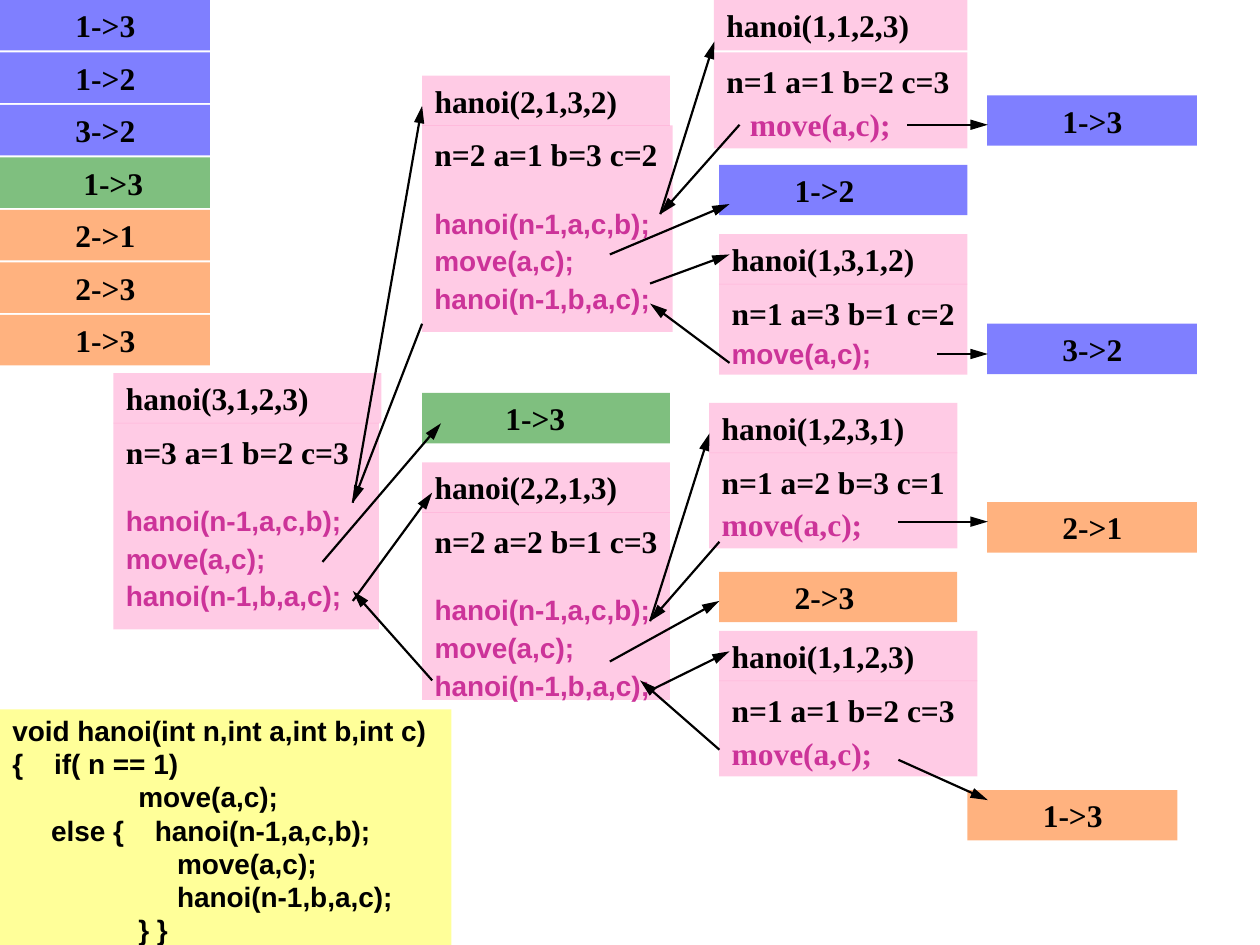
from lxml import etree
from pptx import Presentation
from pptx.dml.color import RGBColor
from pptx.enum.shapes import MSO_CONNECTOR, MSO_SHAPE
from pptx.enum.text import MSO_ANCHOR, PP_ALIGN
from pptx.oxml.ns import qn
from pptx.util import Pt

RECT = MSO_SHAPE.RECTANGLE
LINE = MSO_CONNECTOR.STRAIGHT
TOP = MSO_ANCHOR.TOP
LEFT = PP_ALIGN.LEFT

HUES = {"pink": "FF99CC", "blue": "0000FF", "green": "008000",
        "orange": "FF6600", "yellow": "FFFF99", "ink": "000000", "call": "CC3399"}
SERIF, SANS = "Times New Roman", "Arial"
ROW = 28.8
BODY = 28.4
GAP = 0.8


class Board:
    """Draws the call tree of a recursive function on one slide."""

    def __init__(self, slide):
        self.slide = slide

    def box(self, x, y, w, h, hue, alpha=50):
        shape = self.slide.shapes.add_shape(RECT, Pt(x), Pt(y), Pt(w), Pt(h))
        shape.shadow.inherit = False
        shape.fill.solid()
        shape.fill.fore_color.rgb = RGBColor.from_string(HUES[hue])
        shape.line.fill.background()
        if alpha < 100:
            tint = next(shape._element.spPr.iter(qn("a:srgbClr")))
            etree.SubElement(tint, qn("a:alpha"), val=str(alpha * 1000))
        frame = shape.text_frame
        frame.word_wrap = True
        frame.vertical_anchor = TOP
        frame.margin_left, frame.margin_right = Pt(7.2), 0
        frame.margin_top = frame.margin_bottom = Pt(3.6)
        return frame

    def text(self, frame, words, face=SERIF, size=18, hue="ink",
             pitch=1.0, gap=0, dent=0, tab=0):
        first = not frame.paragraphs[0].runs
        para = frame.paragraphs[0] if first else frame.add_paragraph()
        para.alignment = LEFT
        para.line_spacing = pitch
        para.space_before = Pt(0 if first else gap)
        props = para._p.get_or_add_pPr()
        props.set("marL", str(Pt(dent)))
        if tab:
            tabs = etree.SubElement(props, qn("a:tabLst"))
            etree.SubElement(tabs, qn("a:tab"), pos=str(Pt(tab)), algn="l")
        run = para.add_run()
        run.text = words
        font = run.font
        font.name, font.size, font.bold = face, Pt(size), True
        font.color.rgb = RGBColor.from_string(HUES[hue])

    def step(self, x, y, w, hue, words):
        dent = 40.5 if hue == "green" else 36
        self.text(self.box(x, y, w, ROW, hue), words, dent=dent)

    def head(self, x, y, w, args, wide, high, state, drop=BODY):
        self.text(self.box(x, y, w, ROW, "pink"), f"hanoi({args})")
        frame = self.box(x, y + drop, wide, high, "pink")
        self.text(frame, state, pitch=1.1)
        return frame

    def node(self, x, y, w, args, wide, high, state):
        frame = self.head(x, y, w, args, wide, high, state)
        calls = ("hanoi(n-1,a,c,b);", 26.5), ("move(a,c);", 10.9), ("hanoi(n-1,b,a,c);", 10.9)
        for words, gap in calls:
            self.text(frame, words, SANS, 16, "call", 0.55, gap)

    def leaf(self, x, y, w, args, high, state, face=SERIF, size=18, dent=0, drop=BODY):
        frame = self.head(x, y, w, args, w, high, state, drop)
        self.text(frame, "move(a,c);", face, size, "call", 1.1, GAP, dent)

    def code(self, x, y, w, h, lines):
        frame = self.box(x, y, w, h, "yellow", 100)
        for words in lines:
            self.text(frame, words, SANS, 16, pitch=0.95, gap=GAP, tab=72)

    def arrow(self, x, y, tox, toy):
        link = self.slide.shapes.add_connector(LINE, Pt(x), Pt(y), Pt(tox), Pt(toy))
        link.line.width = Pt(1.25)
        link.line.color.rgb = RGBColor.from_string(HUES["ink"])
        etree.SubElement(link.line._get_or_add_ln(), qn("a:tailEnd"),
                         type="triangle", w="med", len="lg")
        etree.SubElement(link._element.spPr, qn("a:effectLst"))


NODES = [
    (64.8, 213.2, 153.2, "3,1,2,3", 151.8, 118, "n=3 a=1 b=2 c=3"),
    (241.2, 43.2, 141.6, "2,1,3,2", 143.2, 118, "n=2 a=1 b=3 c=2"),
    (241.2, 264.2, 141.6, "2,2,1,3", 141.6, 107.4, "n=2 a=2 b=1 c=3"),
]
LEAVES = [
    (408, 0, 144.8, "1,1,2,3", 54.8, "n=1 a=1 b=2 c=3", SERIF, 18, 13.5, 30),
    (411, 133.8, 141.8, "1,3,1,2", 52, "n=1 a=3 b=1 c=2", SANS, 16),
    (405.3, 230.2, 141.8, "1,2,3,1", 54.8, "n=1 a=2 b=3 c=1"),
    (411, 360.5, 147.5, "1,1,2,3", 54.8, "n=1 a=1 b=2 c=3"),
]
STEPS = [
    (564, 54.5, 120, "blue", "1->3"),
    (411, 94.2, 141.8, "blue", "1->2"),
    (564, 185, 120, "blue", "3->2"),
    (241.2, 224.6, 141.6, "green", "1->3"),
    (564, 287, 120, "orange", "2->1"),
    (411, 326.8, 136, "orange", "2->3"),
    (552.8, 451.5, 120, "orange", "1->3"),
]
ARROWS = [
    (201.6, 287.3, 241.2, 60.5), (241.2, 185, 201.6, 287.3),
    (184.3, 321.1, 252, 241.9), (201.6, 343.4, 247, 281.5),
    (247, 388.8, 201.6, 337.7), (377.3, 122.4, 408.2, 23.8),
    (422.6, 71.3, 377.3, 122.4), (348.5, 145.4, 416.9, 116.6),
    (371.5, 162, 416.9, 145.4), (416.9, 207.4, 371.5, 173.5),
    (371.5, 355, 405.4, 247.7), (411.1, 309.6, 371.5, 355),
    (348.5, 378, 411.1, 343.4), (371.5, 394.6, 416.9, 372.2),
    (411.1, 428.4, 365.8, 388.8), (518.4, 71.3, 564.5, 71.3),
    (535.7, 202.3, 564.5, 202.3), (513.4, 298.1, 564.5, 298.1),
    (513.4, 434.2, 564.5, 457.2),
]
CODE = [
    "void hanoi(int n,int a,int b,int c)",
    "{    if( n == 1)",
    "     \tmove(a,c);",
    "     else {    hanoi(n-1,a,c,b);",
    "       \t     move(a,c);",
    "       \t     hanoi(n-1,b,a,c);",
    "     \t} }",
]


def main():
    deck = Presentation()
    deck.slide_width, deck.slide_height = Pt(720), Pt(540)
    board = Board(deck.slides.add_slide(deck.slide_layouts[6]))
    for node in NODES:
        board.node(*node)
    for leaf in LEAVES:
        board.leaf(*leaf)
    for step in STEPS:
        board.step(*step)
    board.code(0, 405.4, 258, 134.6, CODE)
    for rank, (*_, hue, words) in enumerate(STEPS):
        board.step(0, rank * 30, 120, hue, words)
    for arrow in ARROWS:
        board.arrow(*arrow)
    deck.save("out.pptx")


if __name__ == "__main__":
    main()
